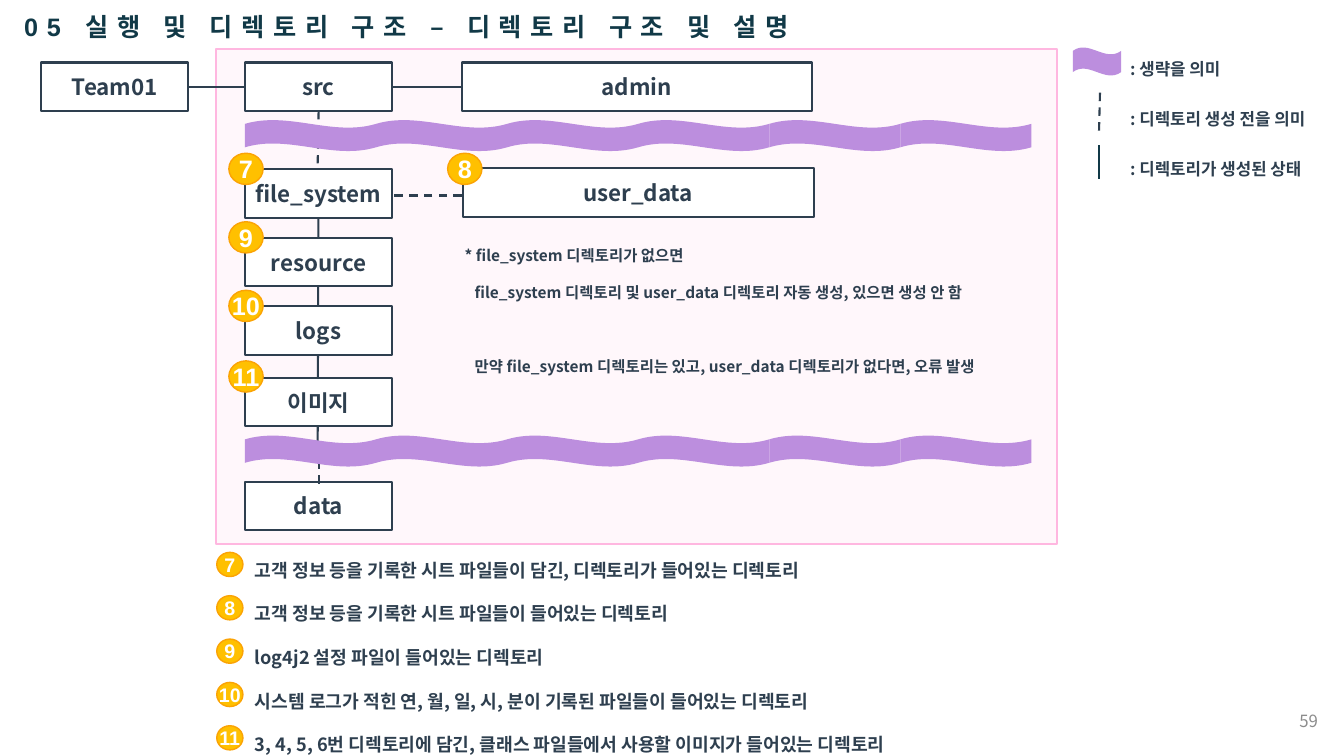
from pptx import Presentation
from pptx import util as u
from pptx.dml.color import RGBColor
from pptx.enum import dml, shapes, text
from pptx.oxml import ns
from lxml import etree

NAVY = RGBColor(0x2E, 0x3F, 0x4F)
TEAL = RGBColor(0x11, 0x39, 0x47)
WHITE = RGBColor(0xFF, 0xFF, 0xFF)
GRAY = RGBColor(0x8C, 0x8C, 0x8C)
PINK = RGBColor(0xFF, 0xF7, 0xFB)
PINK_EDGE = RGBColor(0xFF, 0xB7, 0xE0)
GOLD = RGBColor(0xFF, 0xC0, 0x00)
GOLD_EDGE = RGBColor(0xFB, 0xA3, 0x05)
PURPLE = RGBColor(0xBC, 0x8E, 0xDE)
SANS, ARIAL = "Noto Sans CJK KR", "Arial"
SHAPE, ALIGN = shapes.MSO_SHAPE, text.PP_ALIGN


def inches(*values):
    return [u.Inches(v) for v in values]


def write(p, words, size, color=NAVY, font=SANS, bold=True, align=ALIGN.LEFT,
          line=None, before=0, indent=0, spacing=0):
    """Fill a paragraph with one formatted run; line and before are points."""
    p.alignment = align
    if line:
        p.line_spacing = u.Pt(line)
    if before:
        p.space_before = u.Pt(before)
    if indent:
        pPr = p._p.get_or_add_pPr()
        pPr.set("marL", str(u.Inches(indent)))
        pPr.set("indent", "0")
    r = p.add_run()
    r.text = words
    r.font.size, r.font.bold, r.font.name = u.Pt(size), bold, font
    r.font.color.rgb = color
    rPr = r._r.get_or_add_rPr()
    etree.SubElement(rPr, ns.qn("a:ea")).set("typeface", SANS)
    if spacing:
        rPr.set("spc", str(int(spacing * 100)))


def add_shape(parent, kind, at, fill=None, edge=None, width=1.5):
    sp = parent.add_shape(kind, *inches(*at))
    sp.shadow.inherit = False
    if fill is None:
        sp.fill.background()
    else:
        sp.fill.solid()
        sp.fill.fore_color.rgb = fill
    if edge is None:
        sp.line.fill.background()
    else:
        sp.line.color.rgb = edge
        sp.line.width = u.Pt(width)
    return sp


def label(sp, words, size, **fmt):
    """Centre one unwrapped line in a shape."""
    tf = sp.text_frame
    tf.word_wrap = False
    tf.vertical_anchor = text.MSO_ANCHOR.MIDDLE
    tf.margin_left = tf.margin_right = tf.margin_top = tf.margin_bottom = 0
    write(tf.paragraphs[0], words, size, align=ALIGN.CENTER, **fmt)


def add_directory(s, name, x, y, w=1.46, fill=WHITE):
    label(add_shape(s.shapes, SHAPE.RECTANGLE, (x, y, w, 0.48), fill, NAVY), name, 16)


def add_badge(s, number, x, y, w=0.34, h=0.31, size=18):
    sp = add_shape(s.shapes, SHAPE.OVAL, (x, y, w, h), GOLD, GOLD_EDGE, 1)
    label(sp, str(number), size, color=WHITE, font=ARIAL)


def add_line(s, x1, y1, x2, y2, dashed=False, color=NAVY):
    c = s.shapes.add_connector(shapes.MSO_CONNECTOR.STRAIGHT, *inches(x1, y1, x2, y2))
    c.line.color.rgb = color
    c.line.width = u.Pt(1.5)
    if dashed:
        c.line.dash_style = dml.MSO_LINE.DASH
    etree.SubElement(c._element.spPr, ns.qn("a:effectLst"))


def add_wave_band(s, y):
    band = s.shapes.add_group_shape()
    for i in range(6):
        add_shape(band.shapes, SHAPE.WAVE, (2.43 + 1.3 * i, y, 1.3, 0.31), PURPLE)


def add_text(s, at, size, lines):
    """Text box from (words, paragraph format) pairs."""
    tf = s.shapes.add_textbox(*inches(*at)).text_frame
    tf.word_wrap = True
    for i, (words, fmt) in enumerate(lines):
        p = tf.add_paragraph() if i else tf.paragraphs[0]
        write(p, words, size, **fmt)
    return tf


def add_title(s, words):
    sp = s.shapes.title
    sp.left, sp.top, sp.width, sp.height = inches(0.14, 0.06, 9.64, 0.4)
    tf = sp.text_frame
    tf.auto_size = text.MSO_AUTO_SIZE.NONE
    tf.vertical_anchor = text.MSO_ANCHOR.TOP
    write(tf.paragraphs[0], words, 18, color=TEAL, font=ARIAL, line=21.6, spacing=6.25)


def main():
    prs = Presentation()
    prs.slide_width, prs.slide_height = inches(13.33, 7.5)
    s = prs.slides.add_slide(prs.slide_layouts[5])
    add_title(s, "05 실행 및 디렉토리 구조 – 디렉토리 구조 및 설명")

    # Panel and tree lines
    add_shape(s.shapes, SHAPE.RECTANGLE, (2.14, 0.49, 8.34, 4.91), PINK, PINK_EDGE)
    add_line(s, 1.87, 0.86, 2.57, 0.86)
    add_line(s, 3.88, 0.86, 4.58, 0.86)
    add_line(s, 3.16, 1.68, 3.15, 4.56)
    add_line(s, 3.16, 1.1, 3.15, 1.67, dashed=True)
    add_line(s, 4.58, 1.94, 3.89, 1.94, dashed=True)

    # Directories
    add_directory(s, "Team01", 0.41, 0.62, fill=None)
    add_directory(s, "admin", 4.58, 0.62, 3.47)
    add_directory(s, "user_data", 4.59, 1.67, 3.48)
    for name, y in (("src", 0.62), ("file_system", 1.68), ("resource", 2.36),
                    ("logs", 3.04), ("이미지", 3.75), ("data", 4.78)):
        add_directory(s, name, 2.43, y)
    add_line(s, 3.16, 4.57, 3.16, 4.84, dashed=True)

    # Omitted parts and numbers
    for y in (1.19, 4.32):
        add_wave_band(s, y)
    for number, x, y in ((7, 2.27, 1.52), (8, 4.44, 1.52), (9, 2.27, 2.2),
                         (10, 2.27, 2.88), (11, 2.27, 3.58)):
        add_badge(s, number, x, y)

    # Note beside the tree
    add_text(s, (4.51, 2.21, 6.35, 1.58), 11, [
        ("* file_system 디렉토리가 없으면", dict(line=26.4)),
        ("file_system 디렉토리 및 user_data 디렉토리 자동 생성, 있으면 생성 안 함",
         dict(line=26.4, indent=0.1)),
        ("만약 file_system 디렉토리는 있고, user_data 디렉토리가 없다면, 오류 발생",
         dict(line=26.4, indent=0.1, before=26.4))])

    # Numbered descriptions
    descriptions = (
        "고객 정보 등을 기록한 시트 파일들이 담긴, 디렉토리가 들어있는 디렉토리",
        "고객 정보 등을 기록한 시트 파일들이 들어있는 디렉토리",
        "log4j2 설정 파일이 들어있는 디렉토리",
        "시스템 로그가 적힌 연, 월, 일, 시, 분이 기록된 파일들이 들어있는 디렉토리",
        "3, 4, 5, 6번 디렉토리에 담긴, 클래스 파일들에서 사용할 이미지가 들어있는 디렉토리")
    add_text(s, (2.43, 5.28, 8.34, 2.22), 13,
             [(words, dict(line=31.2)) for words in descriptions])
    for i in range(len(descriptions)):
        add_badge(s, 7 + i, 2.15, 5.48 + 0.43 * i, 0.26, 0.24, 14)

    # Legend
    add_shape(s.shapes, SHAPE.WAVE, (10.64, 0.47, 0.48, 0.28), PURPLE)
    add_line(s, 10.91, 0.92, 10.9, 1.31, dashed=True)
    add_line(s, 10.9, 1.44, 10.9, 1.78, color=TEAL)
    add_text(s, (11.11, 0.33, 2.22, 1.43), 12, [
        (": 생략을 의미", dict(line=28.8)),
        (": 디렉토리 생성 전을 의미", dict(line=36)),
        (": 디렉토리가 생성된 상태", dict(line=36))])

    # Page number
    tf = add_text(s, (10.17, 6.95, 3, 0.4), 12,
                  [("59", dict(color=GRAY, bold=False, align=ALIGN.RIGHT))])
    tf.vertical_anchor = text.MSO_ANCHOR.MIDDLE
    prs.save("out.pptx")


if __name__ == "__main__":
    main()
